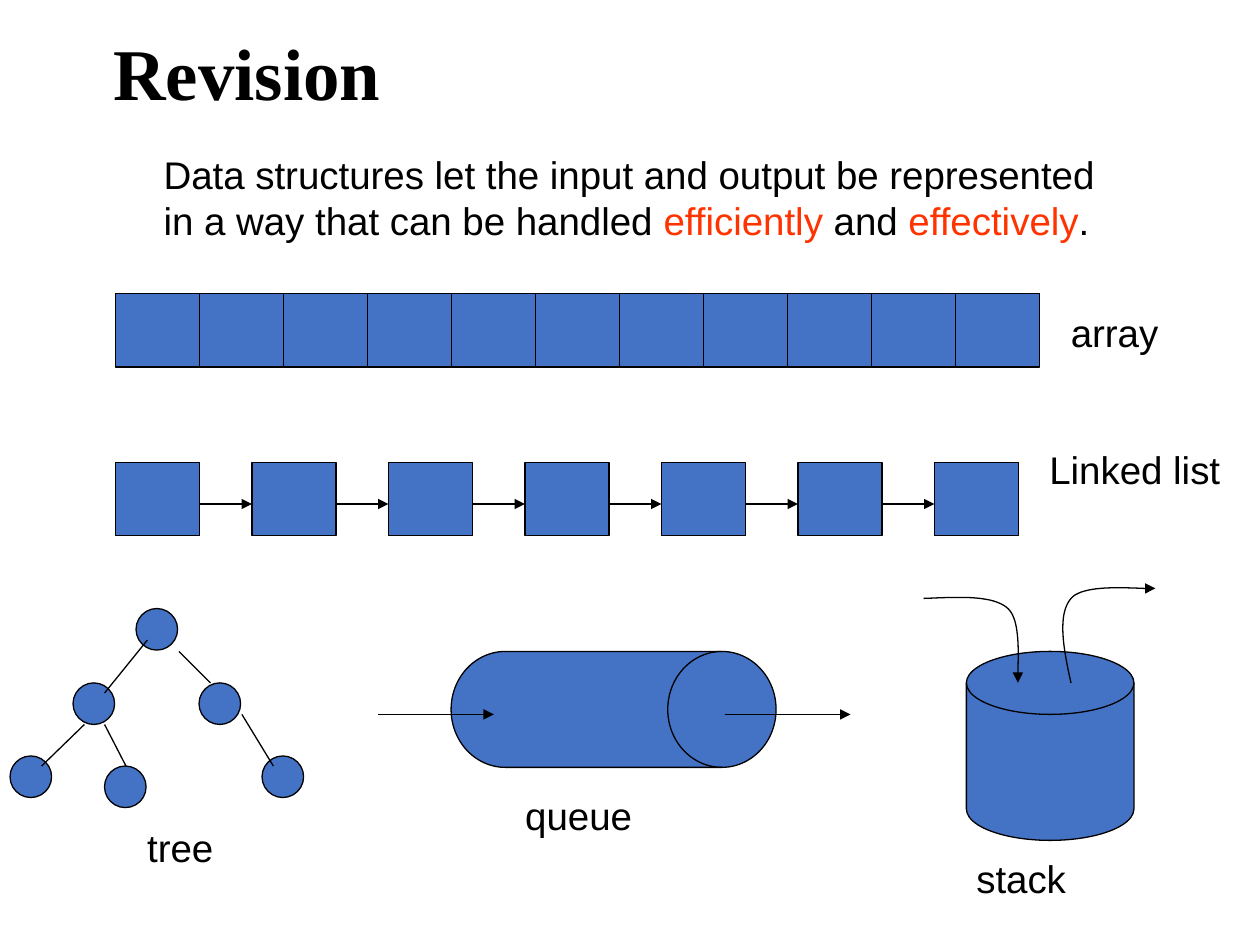
from pptx import Presentation
from pptx.dml.color import RGBColor
from pptx.enum.shapes import MSO_CONNECTOR, MSO_SHAPE
from pptx.enum.text import MSO_ANCHOR, MSO_AUTO_SIZE, PP_ALIGN
from pptx.oxml.ns import qn
from pptx.util import Inches, Pt
from lxml.etree import SubElement

THEME = {
    "ink": "000000", "accent": "FF3300", "fill": "4472C4", "line": 0.75,
    "title_font": "Times New Roman", "title_size": 41.6,
    "body_font": "Arial", "body_size": 22,
}

# Content: paragraphs are lists of (text, colour role) runs
TITLE = "Revision"
INTRO = [
    [("Data structures let the input and output be represented", "ink")],
    [("in a way that can be handled ", "ink"), ("efficiently", "accent"),
     (" and ", "ink"), ("effectively", "accent"), (".", "ink")],
]
LABELS = [  # text, left, top, width
    ("array", 8.4, 2.4, 0.9),
    ("Linked list", 8.23, 3.49, 1.56),
    ("tree", 1.07, 6.49, 0.73),
    ("queue", 4.07, 6.24, 1.05),
    ("stack", 7.65, 6.74, 0.91),
]

# Geometry in inches
ROW_LEFT, CELL_W, CELL_H = 11 / 12, 2 / 3, 7 / 12
ARRAY_TOP, ARRAY_COUNT = 2.33, 11
LIST_TOP, LIST_COUNT, LINK_Y, LINK_W = 3.67, 7, 4, 5 / 12
NODE = 0.33
NODES = [(1.08, 4.83), (0.58, 5.42), (0.08, 6), (1.58, 5.42), (2.08, 6), (0.83, 6.08)]
BRANCHES = [
    ((1.17, 5.08), (0.83, 5.5)), ((0.67, 5.75), (0.33, 6.08)),
    ((1.42, 5.17), (1.67, 5.42)), ((1.92, 5.67), (2.17, 6.08)),
    ((0.83, 5.75), (1, 6.08)),
]
QUEUE_ARROWS = [((3, 5.67), (3.92, 5.67)), ((5.75, 5.67), (6.75, 5.67))]
PUSH = [(7.33, 4.75), (7.6, 4.74), (7.88, 4.72), (8, 4.83),
        (8.12, 4.94), (8.07, 5.32), (8.08, 5.42)]
POP = [(8.5, 5.42), (8.44, 5.15), (8.39, 4.88), (8.5, 4.75),
       (8.61, 4.62), (9.06, 4.68), (9.17, 4.67)]

prs = Presentation()
prs.slide_width, prs.slide_height = Inches(10), Inches(7.5)
s = prs.slides.add_slide(prs.slide_layouts[5])


def write(tf, paragraphs, font="body_font", size="body_size", bold=False,
          spacing=None, before=0, wrap=False):
    tf.word_wrap = wrap
    tf.auto_size = MSO_AUTO_SIZE.NONE
    tf.vertical_anchor = MSO_ANCHOR.TOP
    for i, runs in enumerate(paragraphs):
        p = tf.add_paragraph() if i else tf.paragraphs[0]
        p.alignment = PP_ALIGN.LEFT
        p.line_spacing, p.space_before = spacing, Pt(before)
        for text, role in runs:
            r = p.add_run()
            r.text = text
            r.font.name, r.font.size = THEME[font], Pt(THEME[size])
            r.font.bold = bold
            r.font.color.rgb = RGBColor.from_string(THEME[role])


def add_text(paragraphs, left, top, width, height):
    box = s.shapes.add_textbox(Inches(left), Inches(top), Inches(width), Inches(height))
    write(box.text_frame, paragraphs)


def outline(item, arrow=False):
    item.line.color.rgb = RGBColor.from_string(THEME["ink"])
    item.line.width = Pt(THEME["line"])
    if arrow:
        SubElement(item.line._get_or_add_ln(), qn("a:tailEnd"), type="triangle")


def add_solid(kind, left, top, width, height):
    sp = s.shapes.add_shape(kind, Inches(left), Inches(top), Inches(width), Inches(height))
    sp.shadow.inherit = False
    sp.fill.solid()
    sp.fill.fore_color.rgb = RGBColor.from_string(THEME["fill"])
    outline(sp)


def add_line(start, end, arrow=False):
    line = s.shapes.add_connector(MSO_CONNECTOR.STRAIGHT,
                                  *(Inches(v) for v in (*start, *end)))
    outline(line, arrow)
    SubElement(line._element.spPr, qn("a:effectLst"))


def bezier(points, steps=24):
    """Sample a chain of cubic curves, without its first point."""
    for i in range(0, len(points) - 1, 3):
        a, b, c, d = points[i:i + 4]
        for k in range(1, steps + 1):
            t = k / steps
            u = 1 - t
            yield tuple(Inches(u**3 * a[j] + 3 * u * u * t * b[j]
                               + 3 * u * t * t * c[j] + t**3 * d[j]) for j in (0, 1))


def add_curve(points):
    x, y = points[0]
    builder = s.shapes.build_freeform(Inches(x), Inches(y))
    builder.add_line_segments(list(bezier(points)), close=False)
    sp = builder.convert_to_shape()
    sp.shadow.inherit = False
    sp.fill.background()
    outline(sp, arrow=True)


# Title and introduction
title = s.shapes.title
title.left, title.top, title.width, title.height = (
    Inches(v) for v in (0.8, 0.36, 7.29, 0.66))
write(title.text_frame, [[(TITLE, "ink")]], font="title_font", size="title_size",
      bold=True, spacing=0.7, before=7.5, wrap=True)
add_text(INTRO, 1.2, 1.15, 7.62, 0.83)

# Array
for i in range(ARRAY_COUNT):
    add_solid(MSO_SHAPE.RECTANGLE, ROW_LEFT + i * CELL_W, ARRAY_TOP, CELL_W, CELL_H)

# Linked list
for i in range(LIST_COUNT):
    left = ROW_LEFT + i * (CELL_W + LINK_W)
    if i:
        add_line((left - LINK_W, LINK_Y), (left, LINK_Y), arrow=True)
    add_solid(MSO_SHAPE.RECTANGLE, left, LIST_TOP, CELL_W, CELL_H)

# Tree
for left, top in NODES:
    add_solid(MSO_SHAPE.OVAL, left, top, NODE, NODE)
for start, end in BRANCHES:
    add_line(start, end)

# Queue
add_solid(MSO_SHAPE.FLOWCHART_DIRECT_ACCESS_STORAGE, 3.58, 5.17, 2.58, 0.92)
for start, end in QUEUE_ARROWS:
    add_line(start, end, arrow=True)

# Stack
add_solid(MSO_SHAPE.FLOWCHART_MAGNETIC_DISK, 7.67, 5.17, 1.33, 1.5)
for curve in (PUSH, POP):
    add_curve(curve)

# Labels
for text, left, top, width in LABELS:
    add_text([[(text, "ink")]], left, top, width, 0.47)

prs.save("out.pptx")
